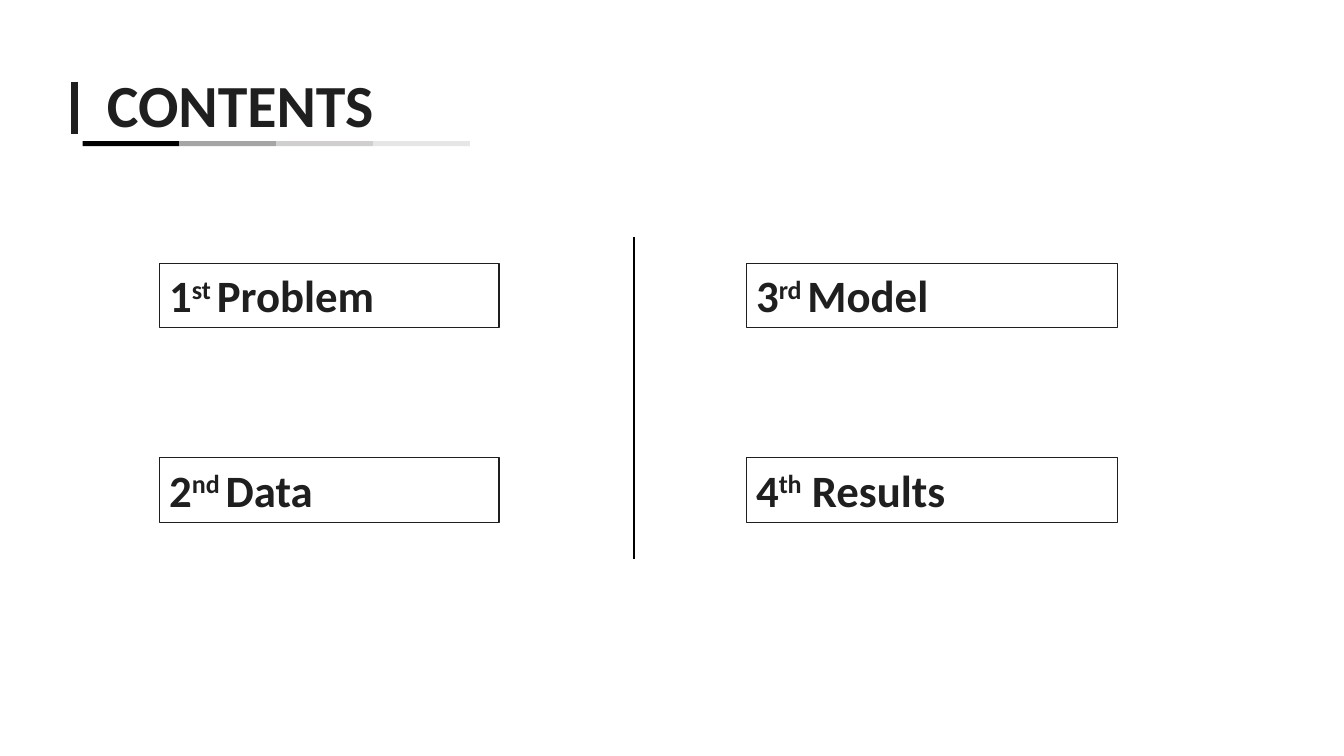
from pptx import Presentation
from pptx import util as u
from pptx.dml.color import RGBColor
from pptx.enum import shapes, text
from pptx.oxml.ns import qn
from lxml import etree

PX = 9144  # 100 px to the inch
COLORS = {"ink": "1F1F1F", "black": "000000", "gray": "A5A5A5",
          "silver": "D0CECE", "pale": "E7E6E6"}


def px(*lengths):
    return [u.Emu(length * PX) for length in lengths]


def rgb(name):
    return RGBColor.from_string(COLORS[name])


def add_span(para, wording, size=32, color="ink", bold=True, raised=False):
    span = para.add_run()
    span.text = wording
    span.font.name = "Calibri"
    span.font.size = u.Pt(size)
    span.font.bold = bold
    span.font.color.rgb = rgb(color)
    if raised:
        span._r.get_or_add_rPr().set("baseline", "30000")
    return span


class ContentsPage:
    def __init__(self, deck):
        self.page = deck.slides.add_slide(deck.slide_layouts[5])

    def title(self, wording, left, top, width, height):
        box = self.page.shapes.title
        box.left, box.top, box.width, box.height = px(left, top, width, height)
        frame = box.text_frame
        frame.word_wrap = False
        frame.auto_size = text.MSO_AUTO_SIZE.SHAPE_TO_FIT_TEXT
        frame.vertical_anchor = text.MSO_ANCHOR.TOP
        para = frame.paragraphs[0]
        para.alignment = text.PP_ALIGN.LEFT
        add_span(para, wording, size=42.7)

    def rectangle(self, left, top, width, height, fill=None):
        box = self.page.shapes.add_shape(
            shapes.MSO_SHAPE.RECTANGLE, *px(left, top, width, height))
        box.shadow.inherit = False
        if fill:
            box.fill.solid()
            box.fill.fore_color.rgb = rgb(fill)
            box.line.fill.background()
        else:
            box.fill.background()
            box.line.color.rgb = rgb("ink")
            box.line.width = u.Pt(0.75)
        return box

    def entry(self, number, suffix, topic, left, top, width, height):
        frame = self.rectangle(left, top, width, height).text_frame
        frame.word_wrap = True
        frame.auto_size = text.MSO_AUTO_SIZE.SHAPE_TO_FIT_TEXT
        frame.vertical_anchor = text.MSO_ANCHOR.TOP
        para = frame.paragraphs[0]
        para.alignment = text.PP_ALIGN.LEFT
        add_span(para, number)
        add_span(para, suffix, raised=True)
        add_span(para, topic)

    def upright(self, x, top, bottom, color, weight):
        line = self.page.shapes.add_connector(
            shapes.MSO_CONNECTOR.STRAIGHT, *px(x, top, x, bottom))
        line.line.color.rgb = rgb(color)
        line.line.width = u.Pt(weight)
        etree.SubElement(line._element.spPr, qn("a:effectLst"))


def main():
    deck = Presentation()
    deck.slide_width, deck.slide_height = px(1333, 750)
    contents = ContentsPage(deck)

    # Heading with its side bar
    contents.title("CONTENTS", 96, 62, 318, 82)
    contents.upright(74, 81, 133, "ink", 4.5)

    # Two columns of two entries
    columns = [
        (158, 337, [("1", "st ", "Problem"), ("2", "nd ", "Data")]),
        (740, 368, [("3", "rd ", "Model"), ("4", "th", " Results")]),
    ]
    for left, width, entries in columns:
        for row, words in enumerate(entries):
            contents.entry(*words, left, 261 + 193 * row, width, 64)

    # Divider between the columns
    contents.upright(629, 235, 555, "black", 1)

    # Fading underline
    for step, shade in enumerate(["black", "gray", "silver", "pale"]):
        contents.rectangle(82 + 96 * step, 140, 96, 5, fill=shade)

    deck.save("out.pptx")


if __name__ == "__main__":
    main()
